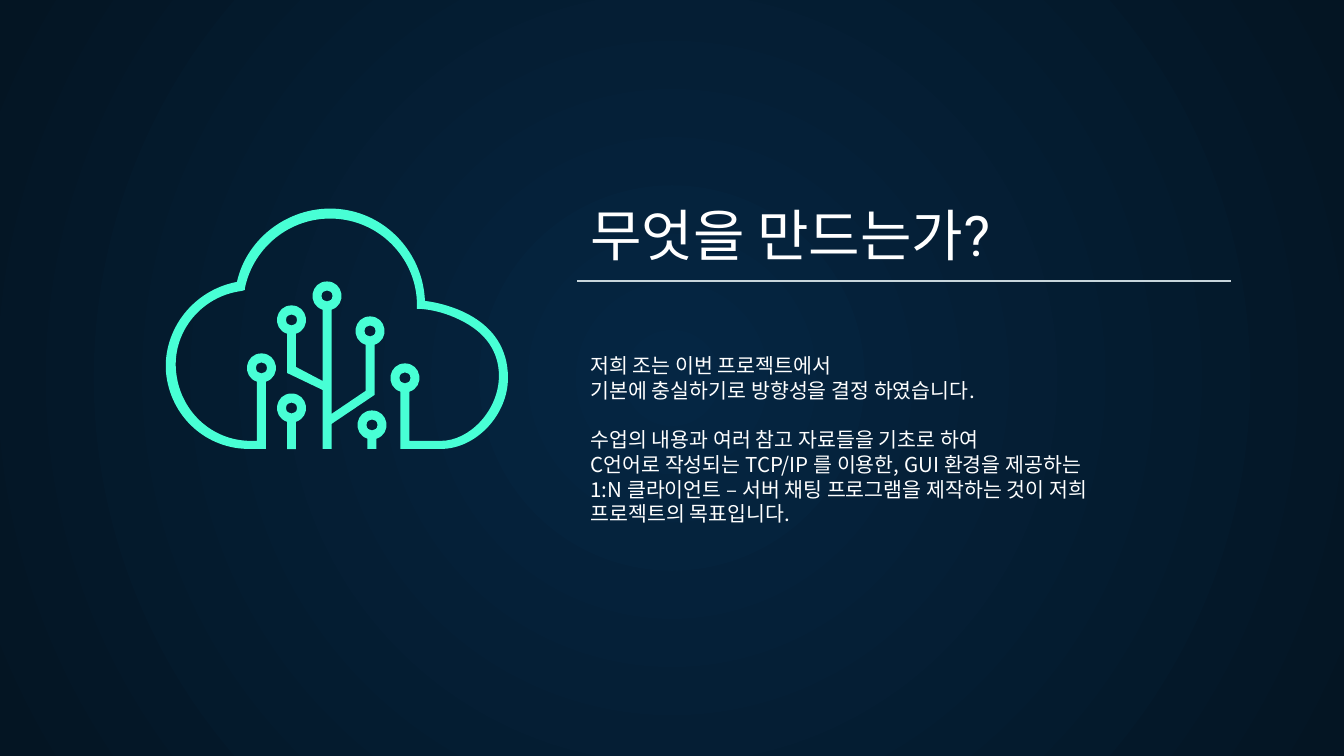
from math import asin, cos, pi, sin, tan

from lxml.etree import SubElement
from pptx import Presentation
from pptx.dml.color import RGBColor
from pptx.enum.shapes import MSO_CONNECTOR as CONNECTOR
from pptx.enum.text import MSO_ANCHOR as ANCHOR, MSO_AUTO_SIZE as AUTO_SIZE, PP_ALIGN as ALIGN
from pptx.oxml.ns import qn
from pptx.util import Pt

PX = 914400 / 134.4
COLORS = {"center": "052643", "edge": "041523", "text": "FFFFFF",
          "accent": "48FFD5", "rule": "C8D6DC"}
KOREAN, LATIN = "Noto Sans CJK KR", "Roboto"
RING, HOLE, HALF_STEM = 14.5, 5.5, 4.5


def px(n):
    return round(n * PX)


def rgb(name):
    return RGBColor.from_string(COLORS[name])


def arc(center, radius, start, end):
    x, y = center
    half = (end - start) / 2
    k = 4 / 3 * tan(half / 4)
    path = [(x + radius * cos(start), y + radius * sin(start))]
    for a, b in ((start, start + half), (start + half, end)):
        path.append((x + radius * (cos(a) - k * sin(a)), y + radius * (sin(a) + k * cos(a)),
                     x + radius * (cos(b) + k * sin(b)), y + radius * (sin(b) - k * cos(b)),
                     x + radius * cos(b), y + radius * sin(b)))
    return path


def ring(center):
    gap = asin(HALF_STEM / RING)
    return arc(center, RING, pi / 2 - gap, gap - 3 * pi / 2)


def hole(center):
    return arc(center, HOLE, 0, 2 * pi)


class Deck:
    def __init__(self, width, height):
        self.prs = Presentation()
        self.prs.slide_width, self.prs.slide_height = px(width), px(height)
        self.s = self.prs.slides.add_slide(self.prs.slide_layouts[0])

    def background(self, inner, outer):
        fill = self.s.background.fill
        fill.gradient()
        for stop, name in zip(fill.gradient_stops, (inner, outer)):
            stop.color.rgb = rgb(name)
        grad = self.s.background._cSld.find(".//" + qn("a:gradFill"))
        grad.remove(grad.find(qn("a:lin")))
        path = SubElement(grad, qn("a:path"), path="circle")
        SubElement(path, qn("a:fillToRect"), dict.fromkeys("ltrb", "50000"))

    def text(self, sp, box, paragraphs, size, leading, anchor):
        sp.left, sp.top, sp.width, sp.height = map(px, box)
        tf = sp.text_frame
        tf.word_wrap, tf.auto_size, tf.vertical_anchor = True, AUTO_SIZE.NONE, anchor
        tf.margin_left = tf.margin_top = tf.margin_right = tf.margin_bottom = Pt(7.2)
        for i, (before, runs) in enumerate(paragraphs):
            p = tf.add_paragraph() if i else tf.paragraphs[0]
            p.alignment, p.line_spacing = ALIGN.LEFT, Pt(leading)
            p.space_before, p.space_after = Pt(before), Pt(0)
            p.font.size, p.font.color.rgb = Pt(size), rgb("text")
            for content, font in runs:
                r = p.add_run()
                r.text, r.font.name = content, font

    def line(self, x1, y1, x2, y2, color, width):
        line = self.s.shapes.add_connector(CONNECTOR.STRAIGHT, *map(px, (x1, y1, x2, y2)))
        line.line.color.rgb, line.line.width = rgb(color), Pt(width)
        SubElement(line._element.spPr, qn("a:effectLst"))

    def outline(self, contours, color):
        builder = self.s.shapes.build_freeform(*map(px, contours[0][0]))
        for i, contour in enumerate(contours):
            points = [(px(step[j]), px(step[j + 1]))
                      for step in contour for j in range(0, len(step), 2)]
            if i:
                builder.move_to(*points[0])
            builder.add_line_segments(points[1:], close=False)
        sp = builder.convert_to_shape()
        self.bend(sp, contours)
        sp.shadow.inherit = False
        sp.fill.solid()
        sp.fill.fore_color.rgb = rgb(color)
        sp.line.fill.background()

    def bend(self, sp, contours):
        path = sp._element.spPr.find(".//" + qn("a:path"))
        points = iter(path.findall(".//" + qn("a:pt")))
        for child in list(path):
            path.remove(child)
        for contour in contours:
            for i, step in enumerate(contour):
                kind = "a:cubicBezTo" if len(step) == 6 else "a:lnTo" if i else "a:moveTo"
                segment = SubElement(path, qn(kind))
                for _ in range(len(step) // 2):
                    segment.append(next(points))
            SubElement(path, qn("a:close"))


def draw_cloud(deck):
    left, right = (261.5, 368), (405, 378)
    cloud = [
        (425, 301), (423, 253, 386, 213, 338, 209), (291, 205, 247, 237, 237, 282),
        (194, 290, 163, 329, 166, 372), (170, 417, 207, 450, 251, 449),
        (266, 449), *ring(left), (257, 441), (251, 441),
        (211, 441, 179, 410, 176, 370), (173, 331, 202, 296, 242, 291),
        (245, 290), (245, 288), (254, 245, 294, 215, 338, 219),
        (383, 223, 417, 261, 417, 305),
        (417, 309), (421, 309), (434, 310, 448, 314, 460, 320),
        (485, 332, 499, 351, 499, 376), (499, 410, 470, 441, 441, 441),
        (409.5, 441), *ring(right), (400.5, 449), (441, 449),
        (476, 449, 508, 415, 508, 378), (508, 316, 442, 303, 425, 301),
    ]
    deck.outline([cloud, hole(left), hole(right)], "accent")


def draw_circuit(deck):
    left, middle, right = (291.5, 320), (327, 296), (370, 331)
    branches = [
        (331.5, 424), (374.5, 395), *ring(right), (365.5, 391), (331.5, 414),
        *ring(middle), (322.5, 381), (296, 367),
        *ring(left), (287, 373), (322.5, 390), (322.5, 449), (331.5, 449),
    ]
    deck.outline([branches, hole(right), hole(left), hole(middle)], "accent")


def draw_buds(deck):
    for x, y in ((291.5, 408), (372, 425)):
        stem = [(x - HALF_STEM, 449), (x + HALF_STEM, 449)]
        deck.outline([ring((x, y)) + stem, hole((x, y))], "accent")


def main():
    deck = Deck(1344, 756)
    deck.background("center", "edge")
    title, body = deck.s.placeholders
    deck.text(title, (577, 192, 519, 89),
              [(0, [("무엇을 만드는가", KOREAN), ("?", LATIN)])], 30, 36, ANCHOR.BOTTOM)
    lines = [
        (0, "저희 조는 이번 프로젝트에서"),
        (0, "기본에 충실하기로 방향성을 결정 하였습니다."),
        (13.2, "수업의 내용과 여러 참고 자료들을 기초로 하여"),
        (0, "C언어로 작성되는 TCP/IP 를 이용한, GUI 환경을 제공하는"),
        (0, "1:N 클라이언트 – 서버 채팅 프로그램을 제작하는 것이 저희 프로젝트의 목표입니다."),
    ]
    deck.text(body, (577, 340, 558, 297),
              [(before, [(content, KOREAN)]) for before, content in lines],
              11, 13.2, ANCHOR.TOP)
    deck.line(577, 281, 1231, 281, "rule", 0.75)
    draw_circuit(deck)
    draw_cloud(deck)
    draw_buds(deck)
    deck.prs.save("out.pptx")


if __name__ == "__main__":
    main()
